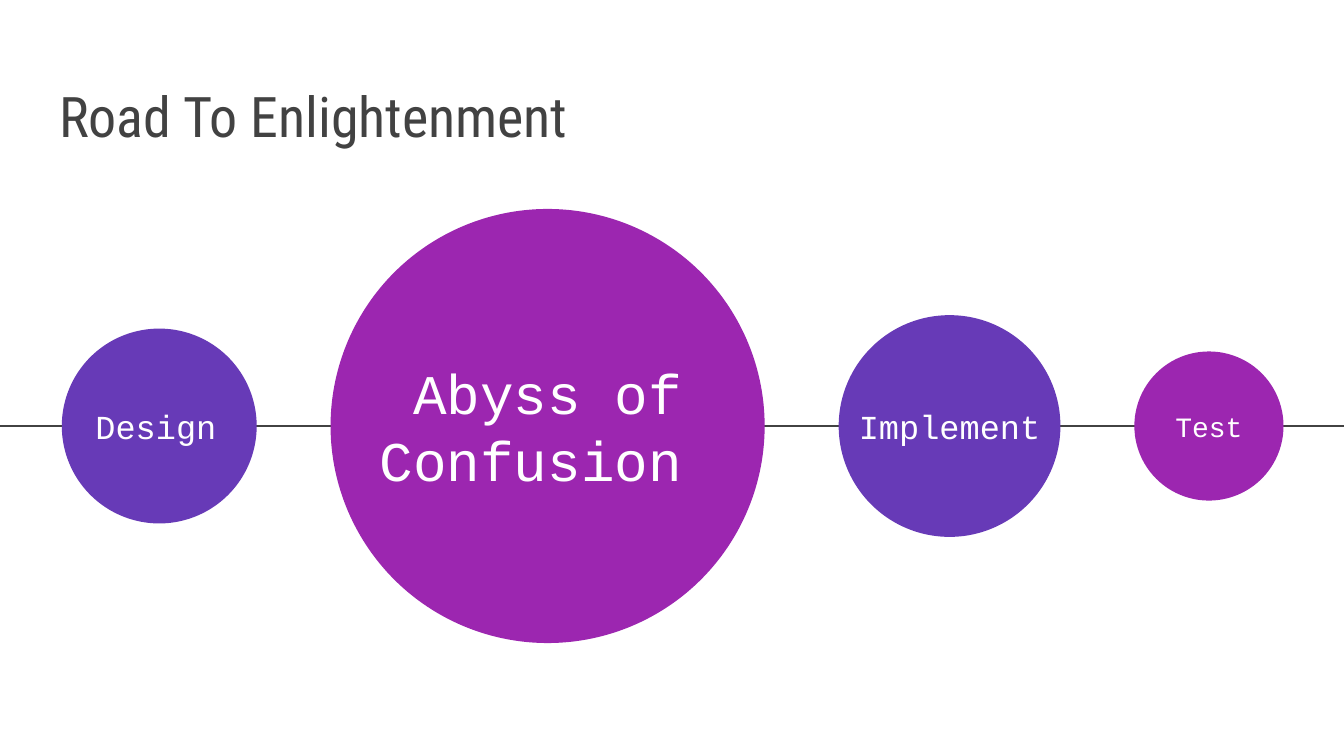
from pptx import Presentation
from pptx.dml.color import RGBColor
from pptx.enum.shapes import MSO_CONNECTOR as Connector, MSO_SHAPE as Shape
from pptx.enum.text import MSO_ANCHOR as Anchor, MSO_AUTO_SIZE as AutoSize, PP_ALIGN as Align
from pptx.oxml.ns import qn
from pptx.util import Inches, Pt
from lxml.etree import SubElement

# Content
TITLE = "Road To Enlightenment"
STAGES = [  # label, diameter, fill, type size, alignment, left inset
    ("Design", 1.45, "violet", "label", Align.LEFT, 0.25),
    ("Abyss of Confusion ", 3.23, "magenta", "large", Align.CENTER, 0.1),
    ("Implement", 1.65, "violet", "label", Align.CENTER, 0.1),
    ("Test", 1.11, "magenta", "small", Align.CENTER, 0.1),
]

THEME = {
    "colors": {"ink": "424242", "violet": "673AB7", "magenta": "9C26B0", "white": "FFFFFF"},
    "sizes": {"large": 30, "label": 18, "small": 15},
    "fonts": {"title": "Roboto Condensed", "label": "Courier New"},
}

# Layout: a 16:9 page
WIDTH = 10
HEIGHT = WIDTH * 9 / 16
ROAD_Y = 3.17
FIRST_LEFT, GAP = 0.46, 0.55
LABEL_HEIGHT = 0.66


def color(name):
    return RGBColor.from_string(THEME["colors"][name])


def write(box, text, *, font, size, ink, align=Align.LEFT, anchor=Anchor.MIDDLE, inset=0.1):
    frame = box.text_frame
    frame.word_wrap = True
    frame.auto_size = AutoSize.NONE
    frame.vertical_anchor = anchor
    frame.margin_left = Inches(inset)
    frame.margin_top = frame.margin_right = frame.margin_bottom = Inches(0.1)
    para = frame.paragraphs[0]
    para.alignment = align
    span = para.add_run()
    span.text = text
    span.font.name = THEME["fonts"][font]
    span.font.size = Pt(THEME["sizes"][size])
    span.font.color.rgb = color(ink)


deck = Presentation()
deck.slide_width, deck.slide_height = Inches(WIDTH), Inches(HEIGHT)
page = deck.slides.add_slide(deck.slide_layouts[5])
page.background.fill.solid()
page.background.fill.fore_color.rgb = color("white")

# Title
title = page.shapes.title
title.left, title.top, title.width, title.height = map(Inches, (0.34, 0.41, 9.32, 0.8))
write(title, TITLE, font="title", size="large", ink="ink", anchor=Anchor.BOTTOM)

# Road across the whole slide
road = page.shapes.add_connector(
    Connector.STRAIGHT, 0, Inches(ROAD_Y), Inches(WIDTH), Inches(ROAD_Y))
road.line.color.rgb = color("ink")
road.line.width = Pt(1.5)
SubElement(road.element.spPr, qn("a:effectLst"))

# Stages: circles centred on the road with equal gaps
left = FIRST_LEFT
for label, diameter, fill, size, align, inset in STAGES:
    circle = page.shapes.add_shape(
        Shape.OVAL, Inches(left), Inches(ROAD_Y - diameter / 2),
        Inches(diameter), Inches(diameter))
    circle.shadow.inherit = False
    circle.fill.solid()
    circle.fill.fore_color.rgb = color(fill)
    circle.line.fill.background()

    box = page.shapes.add_textbox(
        Inches(left), Inches(ROAD_Y - LABEL_HEIGHT / 2),
        Inches(diameter), Inches(LABEL_HEIGHT))
    write(box, label, font="label", size=size, ink="white", align=align, inset=inset)
    left += diameter + GAP

deck.save("out.pptx")
